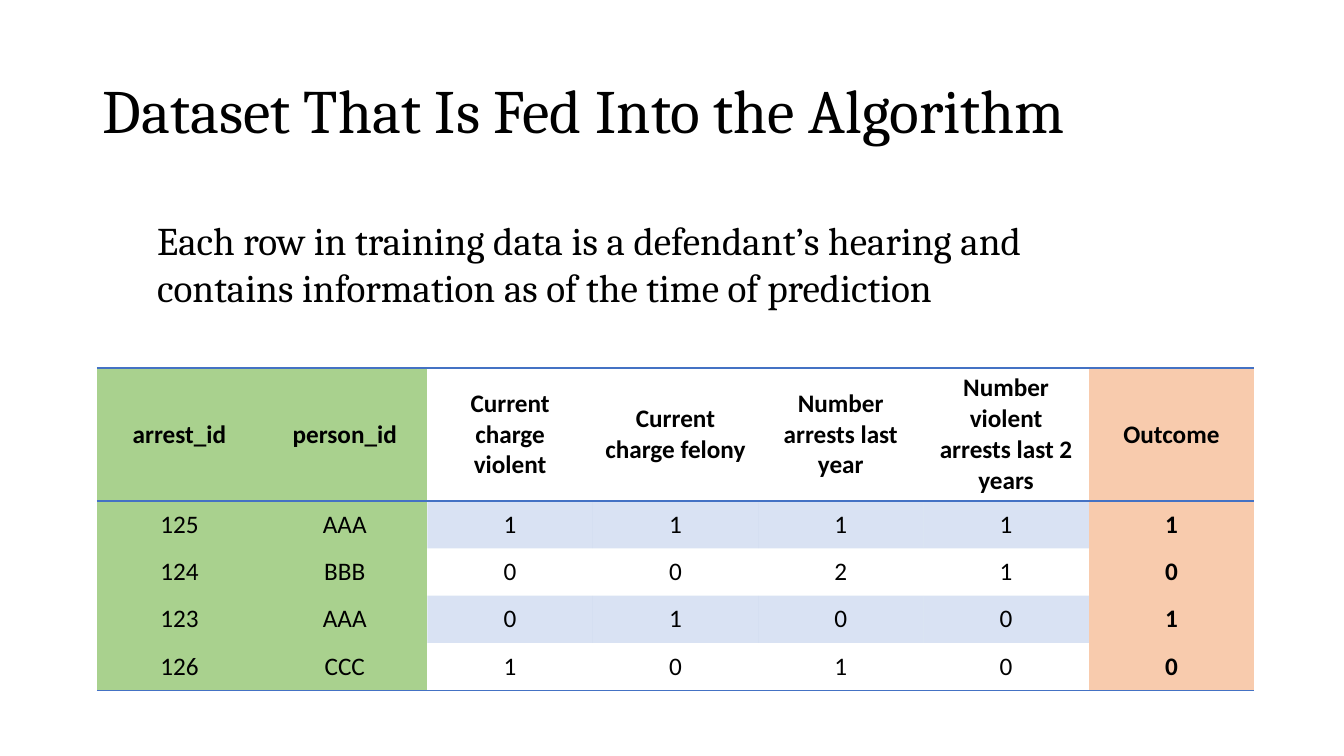
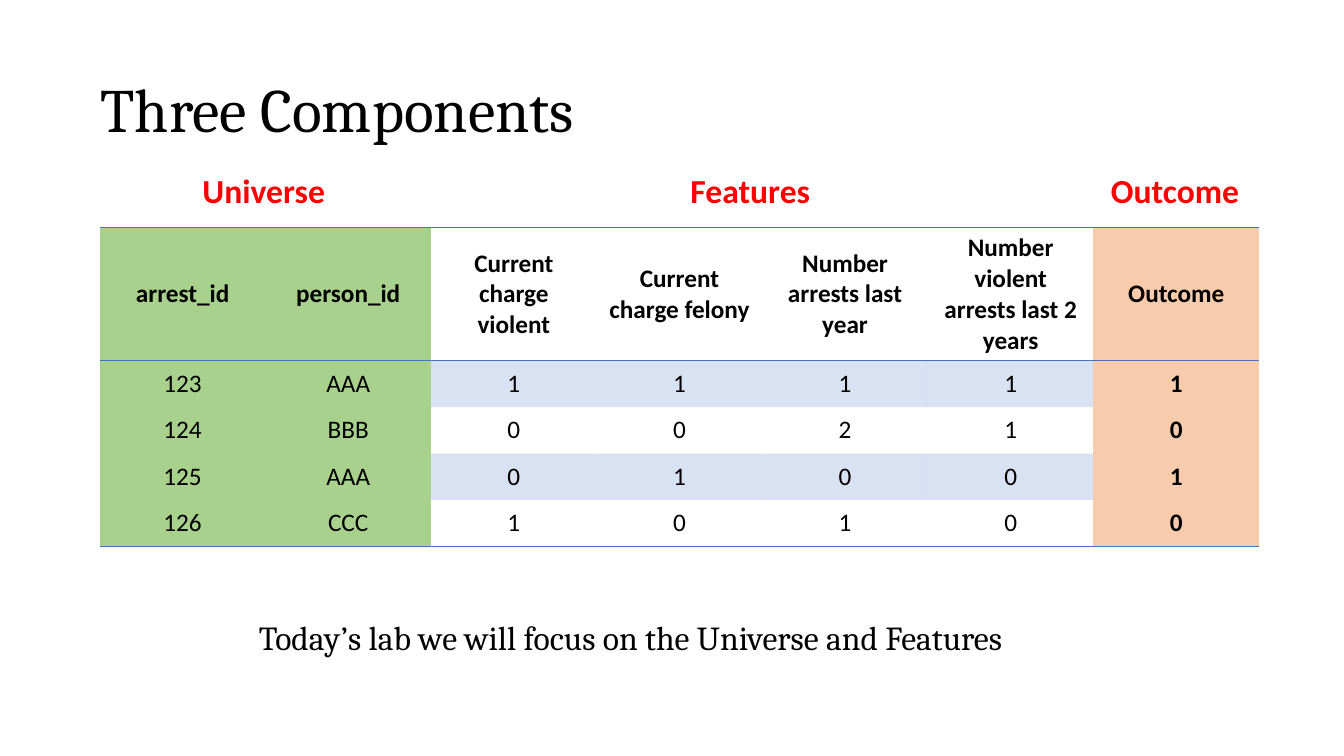
from pptx import Presentation
from pptx.dml.color import RGBColor
from pptx.enum.text import MSO_ANCHOR, PP_ALIGN
from pptx.oxml import parse_xml
from pptx.oxml.ns import nsdecls, qn
from pptx.util import Inches, Pt

MIDDLE, TOP = MSO_ANCHOR.MIDDLE, MSO_ANCHOR.TOP
LEFT, CENTER = PP_ALIGN.LEFT, PP_ALIGN.CENTER
NO_GRID_STYLE = "{2D5ABB26-0587-4C30-8999-92F81FD0307C}"

THEME = {
    "text": "000000", "label": "FF0000", "accent": "4472C4",
    "universe": "A9D18E", "outcome": "F8CBAD",
    "serif": "Cambria", "sans": "Calibri",
    "title_size": 44, "lead_size": 28, "label_size": 24, "cell_size": 18,
    "band_alpha": 20, "rule_width": 1,
}

HEADERS = ["arrest_id", "person_id", "Current charge violent", "Current charge felony",
           "Number arrests last year", "Number violent arrests last 2 years", "Outcome"]
RECORDS = [["AAA", "1", "1", "1", "1", "1"],
           ["BBB", "0", "0", "2", "1", "0"],
           ["AAA", "0", "1", "0", "0", "1"],
           ["CCC", "1", "0", "1", "0", "0"]]
OUTCOME_COLUMN = len(HEADERS) - 1
HEADER_HEIGHT = 1.32

SLIDES = [
    {
        "title": "Dataset That Is Fed Into the Algorithm",
        "title_at": (0.92, 0.4, 11.5, 1.45),
        "arrest_ids": ["125", "124", "123", "126"],
        "table_at": (0.96, 3.65, 11.48), "row_height": 0.47,
        "labels": [],
        "message": "Each row in training data is a defendant’s hearing and "
                   "contains information as of the time of prediction",
        "message_at": (1.46, 2.1, 10.11, 1.04), "message_size": THEME["lead_size"],
    },
    {
        "title": "Three Components",
        "title_at": (0.9, 0.41, 11.53, 1.42),
        "arrest_ids": ["123", "124", "125", "126"],
        "table_at": (0.99, 2.26, 11.5), "row_height": 0.46,
        "labels": [("Universe", 1.91), ("Features", 6.75), ("Outcome", 10.92)],
        "message": "Today’s lab we will focus on the Universe and Features",
        "message_at": (2.47, 6.07, 8.73, 0.5), "message_size": THEME["label_size"],
    },
]


def write(frame, text, *, size, font=THEME["serif"], color=THEME["text"], bold=False,
          align=LEFT, anchor=TOP, line_spacing=None):
    frame.word_wrap = True
    frame.vertical_anchor = anchor
    para = frame.paragraphs[0]
    para.alignment = align
    para.line_spacing = line_spacing
    span = para.add_run()
    span.text = text
    span.font.name = font
    span.font.size = Pt(size)
    span.font.bold = bold
    span.font.color.rgb = RGBColor.from_string(color)


def format_cell(cell, row, column, last_row):
    """Draw the rules around the header and the last row, then fill the cell."""
    edges = {0: ("lnT", "lnB"), last_row: ("lnB",)}.get(row, ())
    for edge in edges:
        cell._tc.get_or_add_tcPr().append(parse_xml(
            f'<a:{edge} {nsdecls("a")} w="{Pt(THEME["rule_width"])}"><a:solidFill>'
            f'<a:srgbClr val="{THEME["accent"]}"/></a:solidFill></a:{edge}>'))
    if column < 2:
        color = THEME["universe"]
    elif column == OUTCOME_COLUMN:
        color = THEME["outcome"]
    elif row % 2:
        color = THEME["accent"]
    else:
        cell.fill.background()
        return
    cell.fill.solid()
    cell.fill.fore_color.rgb = RGBColor.from_string(color)
    if color == THEME["accent"]:
        swatch = cell._tc.tcPr.find(qn("a:solidFill")).find(qn("a:srgbClr"))
        swatch.append(parse_xml(
            f'<a:alpha {nsdecls("a")} val="{THEME["band_alpha"] * 1000}"/>'))


deck = Presentation()
deck.slide_width, deck.slide_height = Inches(13.33), Inches(7.5)

for content in SLIDES:
    page = deck.slides.add_slide(deck.slide_layouts[6])

    title_box = page.shapes.add_textbox(*map(Inches, content["title_at"]))
    write(title_box.text_frame, content["title"], size=THEME["title_size"],
          anchor=MIDDLE, line_spacing=0.9)

    rows = [HEADERS] + [[arrest_id, *record]
                        for arrest_id, record in zip(content["arrest_ids"], RECORDS)]
    left, top, width = content["table_at"]
    height = HEADER_HEIGHT + len(RECORDS) * content["row_height"]
    table = page.shapes.add_table(len(rows), len(HEADERS), Inches(left), Inches(top),
                                  Inches(width), Inches(height)).table
    table.horz_banding = False
    table._tbl.tblPr.find(qn("a:tableStyleId")).text = NO_GRID_STYLE
    for row, values in enumerate(rows):
        table.rows[row].height = Inches(content["row_height"] if row else HEADER_HEIGHT)
        for column, value in enumerate(values):
            cell = table.cell(row, column)
            cell.vertical_anchor = MIDDLE
            write(cell.text_frame, value, size=THEME["cell_size"], font=THEME["sans"],
                  bold=row == 0 or column == OUTCOME_COLUMN, align=CENTER)
            format_cell(cell, row, column, len(RECORDS))

    for label, label_left in content["labels"]:
        label_box = page.shapes.add_textbox(Inches(label_left), Inches(1.64),
                                            Inches(2.16), Inches(0.5))
        write(label_box.text_frame, label, size=THEME["label_size"], font=THEME["sans"],
              color=THEME["label"], bold=True)

    message_box = page.shapes.add_textbox(*map(Inches, content["message_at"]))
    write(message_box.text_frame, content["message"], size=content["message_size"])

deck.save("out.pptx")
